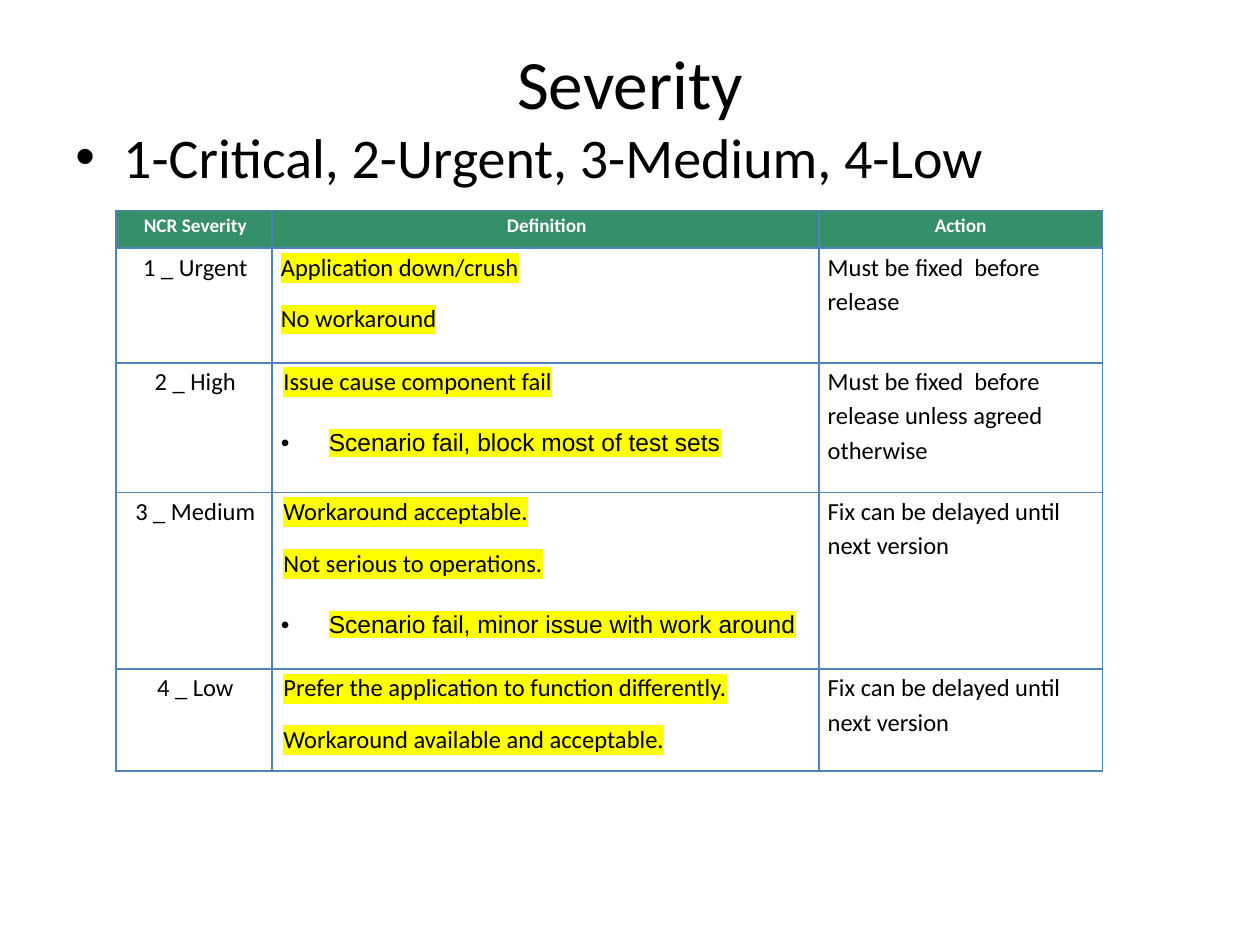
from lxml.etree import SubElement
from pptx import Presentation
from pptx.dml.color import RGBColor
from pptx.enum.text import MSO_ANCHOR, PP_ALIGN
from pptx.oxml.ns import qn
from pptx.util import Inches, Pt

HEADS = ["NCR Severity", "Definition", "Action"]
LEVELS = [
    ("1 _ Urgent", ["Application down/crush", "No workaround"],
     "Must be fixed  before release"),
    ("2 _ High", ["Issue cause component fail",
                  "• Scenario fail, block most of test sets"],
     "Must be fixed  before release unless agreed otherwise"),
    ("3 _ Medium", ["Workaround acceptable.", "Not serious to operations.",
                    "• Scenario fail, minor issue with work around"],
     "Fix can be delayed until next version"),
    ("4 _ Low", ["Prefer the application to function differently.",
                 "Workaround available and acceptable."],
     "Fix can be delayed until next version"),
]
WIDTHS = [1.24, 4.34, 2.25]
HEIGHTS = [0.3, 0.91, 1.03, 1.4, 0.81]


def color(code):
    """Turn a hex string into a colour."""
    return RGBColor.from_string(code)


def solid(parent, tag, code):
    """Add a tagged element that holds a hex colour."""
    node = SubElement(parent, qn(tag))
    SubElement(node, qn("a:srgbClr")).set("val", code)
    return node


def style(para, size, code="000000", face="Calibri", bold=False):
    """Set the font of a whole paragraph."""
    font = para.font
    font.size, font.name, font.bold = Pt(size), face, bold
    font.color.rgb = color(code)


def indent(para, left, bullet=False):
    """Indent a paragraph, hanging it from a bullet on demand."""
    props = para._p.get_or_add_pPr()
    props.set("marL", str(Inches(left)))
    props.set("indent", str(Inches(-left if bullet else 0)))
    if bullet:
        SubElement(props, qn("a:buFont")).set("typeface", "Arial")
        SubElement(props, qn("a:buChar")).set("char", "•")


def box(slide, text, top, height, size):
    """Add a full-width text box and return its frame and paragraph."""
    frame = slide.shapes.add_textbox(
        Inches(0.5), Inches(top), Inches(9), Inches(height)).text_frame
    frame.word_wrap = True
    para = frame.paragraphs[0]
    para.text = text
    return frame, para


def border(cell):
    """Draw a thin blue line on every side of a cell."""
    props = cell._tc.get_or_add_tcPr()
    for place, side in enumerate(("L", "R", "T", "B")):
        line = SubElement(props, qn(f"a:ln{side}"))
        line.set("w", str(Pt(1)))
        solid(line, "a:solidFill", "4F81BD")
        props.insert(place, line)


def write(cell, lines, size=14, code="000000", bold=False,
          center=False, left=0, mark=False):
    """Fill a cell with spaced paragraphs."""
    cell.margin_left = cell.margin_right = Inches(0.07)
    cell.margin_top = cell.margin_bottom = 0
    frame = cell.text_frame
    for i, line in enumerate(lines):
        para = frame.add_paragraph() if i else frame.paragraphs[0]
        bullet = line.startswith("• ")
        para.line_spacing, para.space_after = 1.15, Pt(10)
        para.alignment = PP_ALIGN.CENTER if center else PP_ALIGN.LEFT
        if bullet:
            para.space_before = Pt(6)
        indent(para, 0.38 if bullet else left, bullet)
        style(para, size, code, "Arial" if bullet else "Calibri", bold)
        run = para.add_run()
        run.text = line.removeprefix("• ")
        if mark:
            solid(run._r.get_or_add_rPr(), "a:highlight", "FFFF00")


def grid(slide):
    """Add the severity table."""
    table = slide.shapes.add_table(
        len(HEIGHTS), len(WIDTHS), Inches(0.92), Inches(1.67),
        Inches(sum(WIDTHS)), Inches(sum(HEIGHTS))).table
    table.first_row = table.horz_banding = False
    for col, width in zip(table.columns, WIDTHS):
        col.width = Inches(width)
    for row, height in zip(table.rows, HEIGHTS):
        row.height = Inches(height)
    for cell in table.iter_cells():
        cell.fill.background()
        border(cell)
    for i, head in enumerate(HEADS):
        cell = table.cell(0, i)
        cell.fill.solid()
        cell.fill.fore_color.rgb = color("358F68")
        write(cell, [head], 11, "FFFFFF", True, True, 0.02 if i < 2 else 0)
    for i, (name, notes, action) in enumerate(LEVELS, 1):
        write(table.cell(i, 0), [name], center=True, left=0.02)
        write(table.cell(i, 1), notes, left=0.02 if i > 1 else 0, mark=True)
        write(table.cell(i, 2), [action])


def main():
    """Build the severity slide."""
    deck = Presentation()
    deck.slide_width, deck.slide_height = Inches(10), Inches(7.5)
    slide = deck.slides.add_slide(deck.slide_layouts[6])
    frame, title = box(slide, "Severity", 0.3, 0.7, 39.6)
    frame.vertical_anchor = MSO_ANCHOR.MIDDLE
    title.alignment = PP_ALIGN.CENTER
    style(title, 39.6)
    _, scale = box(slide, "1-Critical, 2-Urgent, 3-Medium, 4-Low", 0.92, 5.78, 32)
    scale.space_before = Pt(6.4)
    indent(scale, 0.38, True)
    style(scale, 32)
    grid(slide)
    deck.save("out.pptx")


if __name__ == "__main__":
    main()
